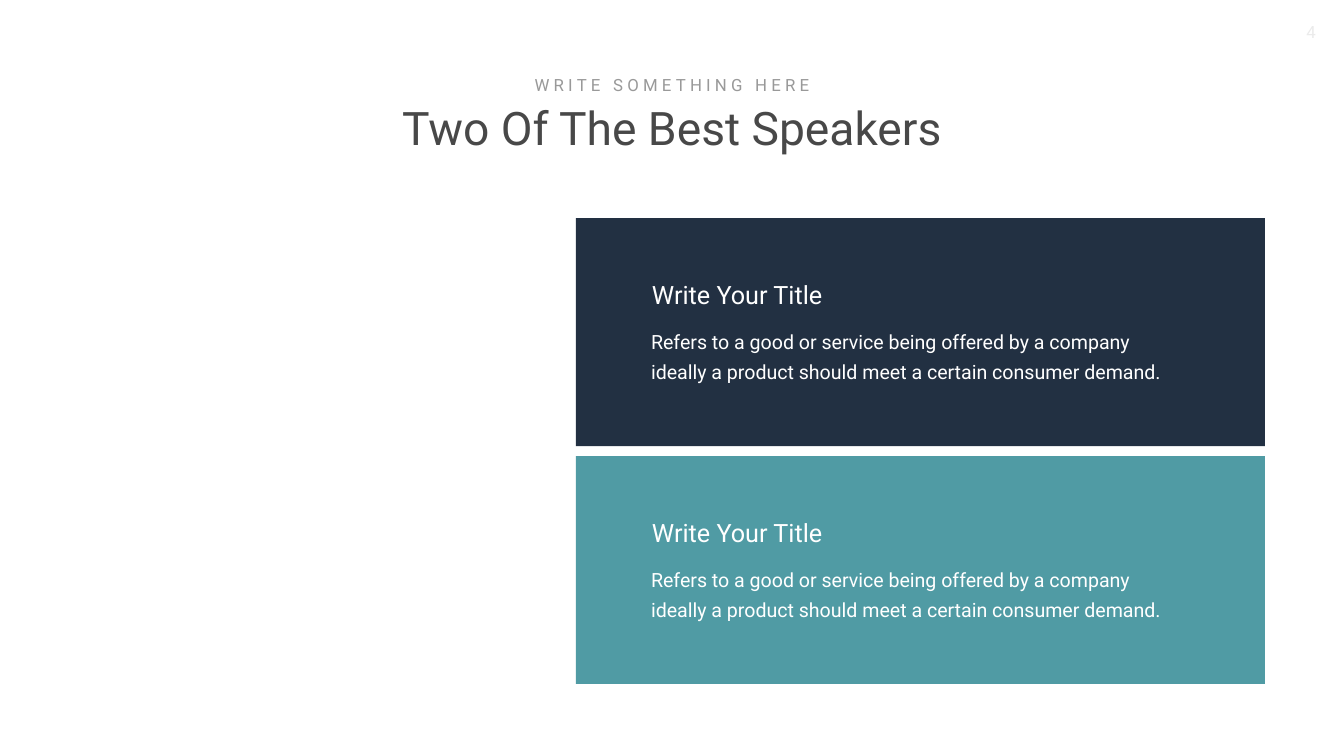
from pptx import Presentation
from pptx import util as u
from pptx.dml import color
from pptx.enum import shapes, text

SCALE = 18143
FONT = "Roboto"
WHITE = "FFFFFF"
BODY = ("Refers to a good or service being offered by a company "
        "ideally a product should meet a certain consumer demand.")


def px(n):
    return u.Emu(n * SCALE)


def rgb(code):
    return color.RGBColor.from_string(code)


def label(slide, box, words, size, tint, align="LEFT", wrap=True,
          inset=None, lead=None, track=None):
    frame = slide.shapes.add_textbox(*map(px, box)).text_frame
    frame.word_wrap = wrap
    if inset:
        frame.margin_left = frame.margin_right = px(inset[0])
        frame.margin_top = frame.margin_bottom = px(inset[1])
    para = frame.paragraphs[0]
    para.alignment = getattr(text.PP_ALIGN, align)
    if lead:
        para.line_spacing = u.Pt(lead)
    run = para.add_run()
    run.text = words
    run.font.name = FONT
    run.font.size = u.Pt(size)
    run.font.color.rgb = rgb(tint)
    if track:
        run.font._element.set("spc", str(track * 100))


def header(slide, box):
    x, y, w, h = box
    label(slide, (x, y + 25, w, h - 25), "Two Of The Best Speakers",
          66, "484848", "CENTER")
    label(slide, (x, y, w, 25), "WRITE SOMETHING HERE",
          24, "999999", "CENTER", track=6)


def card(slide, box, title, body, fill):
    x, y, w, h = box
    panel = slide.shapes.add_shape(
        shapes.MSO_SHAPE.RECTANGLE, *map(px, box))
    panel.shadow.inherit = False
    panel.fill.solid()
    panel.fill.fore_color.rgb = rgb(fill)
    panel.line.fill.background()
    label(slide, (x + 63, y + 99, w - 128, 70), body, 28, WHITE,
          inset=(12, 6), lead=43)
    label(slide, (x + 71, y + 59, 183, 36), title, 36, WHITE, wrap=False)


def main():
    deck = Presentation()
    deck.slide_width, deck.slide_height = px(1344), px(756)
    slide = deck.slides.add_slide(deck.slide_layouts[6])
    header(slide, (358, 72, 628, 86))
    high, gap = 228, 10
    for i, fill in enumerate(("223042", "509BA4")):
        card(slide, (576, 218 + i * (high + gap), 689, high),
             "Write Your Title", BODY, fill)
    label(slide, (1291, 19, 40, 25), "4", 24, "EBEBEB", "CENTER")
    deck.save("out.pptx")


if __name__ == "__main__":
    main()
